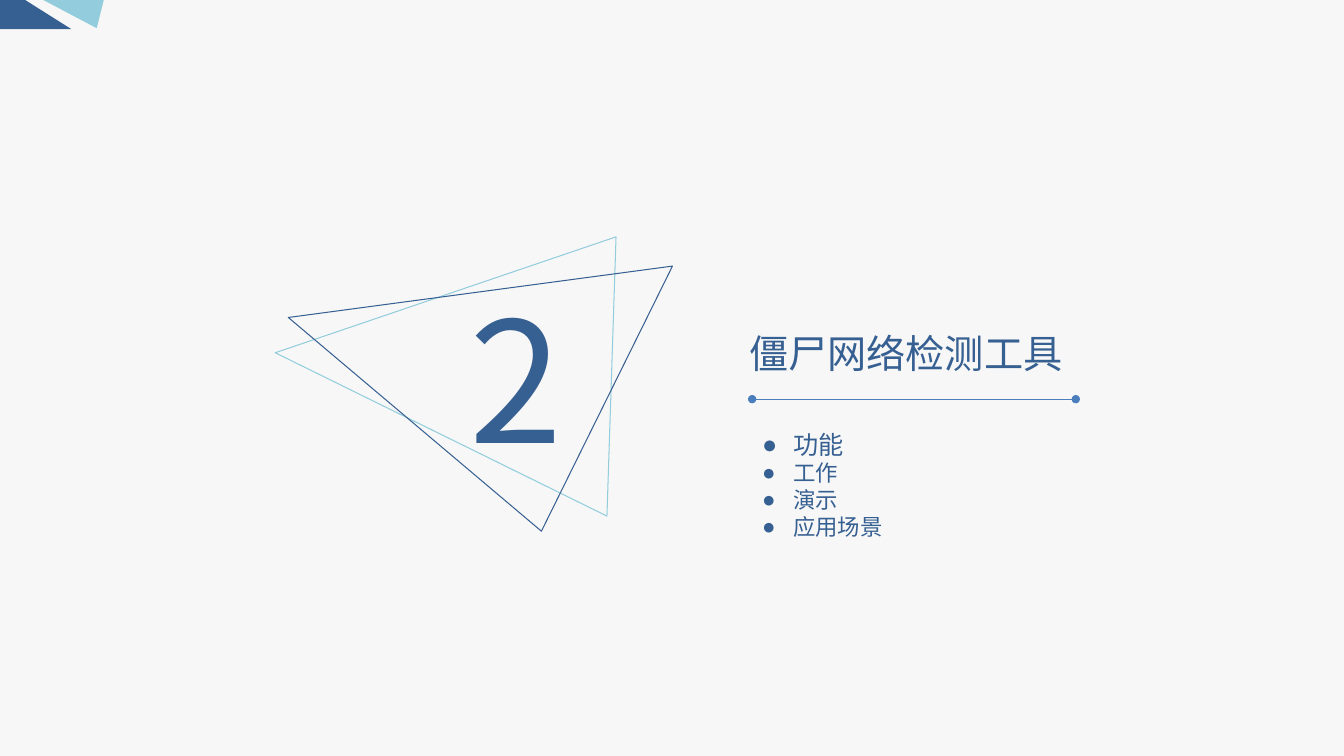
from lxml.etree import SubElement
from pptx import Presentation
from pptx.dml.color import RGBColor
from pptx.enum.shapes import MSO_CONNECTOR
from pptx.enum.text import MSO_ANCHOR, MSO_AUTO_SIZE, PP_ALIGN
from pptx.oxml.ns import qn
from pptx.util import Inches, Pt

NAVY, SKY, RULE_BLUE, PAPER = "376092", "93CDDD", "4B7EBC", "F7F7F7"
CJK_FONT = "Noto Sans CJK SC"


def color(hex_string):
    return RGBColor.from_string(hex_string)


def write(box, place, lines, sizes, font=CJK_FONT, wrap=False, bullet=None):
    """Place a text box and fill it with one paragraph per line."""
    box.left, box.top, box.width, box.height = (Inches(value) for value in place)
    frame = box.text_frame
    frame.word_wrap = wrap
    frame.auto_size = MSO_AUTO_SIZE.SHAPE_TO_FIT_TEXT
    frame.vertical_anchor = MSO_ANCHOR.TOP
    for index, (line, size) in enumerate(zip(lines, sizes)):
        para = frame.add_paragraph() if index else frame.paragraphs[0]
        para.alignment = PP_ALIGN.LEFT
        span = para.add_run()
        span.text = line
        span.font.size = Pt(size)
        span.font.name = font
        span.font.color.rgb = color(NAVY)
        SubElement(span.font._element, qn("a:ea"), typeface=CJK_FONT)
        if bullet:
            properties = para._p.get_or_add_pPr()
            properties.set("marL", str(Inches(0.31)))
            properties.set("indent", str(Inches(-0.31)))
            SubElement(properties, qn("a:buFont"), typeface="Arial")
            SubElement(properties, qn("a:buChar"), char=bullet)


deck = Presentation()
deck.slide_width, deck.slide_height = Inches(13.33), Inches(7.5)
page = deck.slides.add_slide(deck.slide_layouts[5])
page.background.fill.solid()
page.background.fill.fore_color.rgb = color(PAPER)

write(page.shapes.title, (7.33, 3.22, 3.34, 0.57), ["僵尸网络检测工具"], [28])

# Outlined triangles around the number, then filled pieces in the corner
polygons = [
    ([(6.11, 2.35), (2.73, 3.5), (6.02, 5.12)], SKY, False),
    ([(2.86, 3.15), (6.67, 2.64), (5.37, 5.27)], NAVY, False),
    ([(0.43, 0), (0.96, 0.28), (1.03, 0)], SKY, True),
    ([(0.71, 0.29), (0.25, 0), (0, 0), (0, 0.29)], NAVY, True),
]
for corners, shade, filled in polygons:
    points = [(Inches(x), Inches(y)) for x, y in corners]
    builder = page.shapes.build_freeform(*points[0])
    builder.add_line_segments(points[1:], close=True)
    polygon = builder.convert_to_shape()
    polygon.shadow.inherit = False
    if filled:
        polygon.fill.solid()
        polygon.fill.fore_color.rgb = color(shade)
        polygon.line.fill.background()
    else:
        polygon.fill.background()
        polygon.line.color.rgb = color(shade)
        polygon.line.width = Pt(0.75)

number = page.shapes.add_textbox(0, 0, 0, 0)
write(number, (4.56, 2.68, 1.19, 2.12), ["2"], [120])

rule = page.shapes.add_connector(
    MSO_CONNECTOR.STRAIGHT, Inches(7.46), Inches(3.96), Inches(10.67), Inches(3.96))
rule.line.color.rgb = color(RULE_BLUE)
rule.line.width = Pt(0.75)
for end in ("a:headEnd", "a:tailEnd"):
    SubElement(rule.line._get_or_add_ln(), qn(end), type="oval")
SubElement(rule._element.spPr, qn("a:effectLst"))

topics = page.shapes.add_textbox(0, 0, 0, 0)
write(topics, (7.46, 4.21, 4.33, 1.21), ["功能", "工作", "演示", "应用场景"],
      [18, 16, 16, 16], font="Arial", wrap=True, bullet="●")

deck.save("out.pptx")
